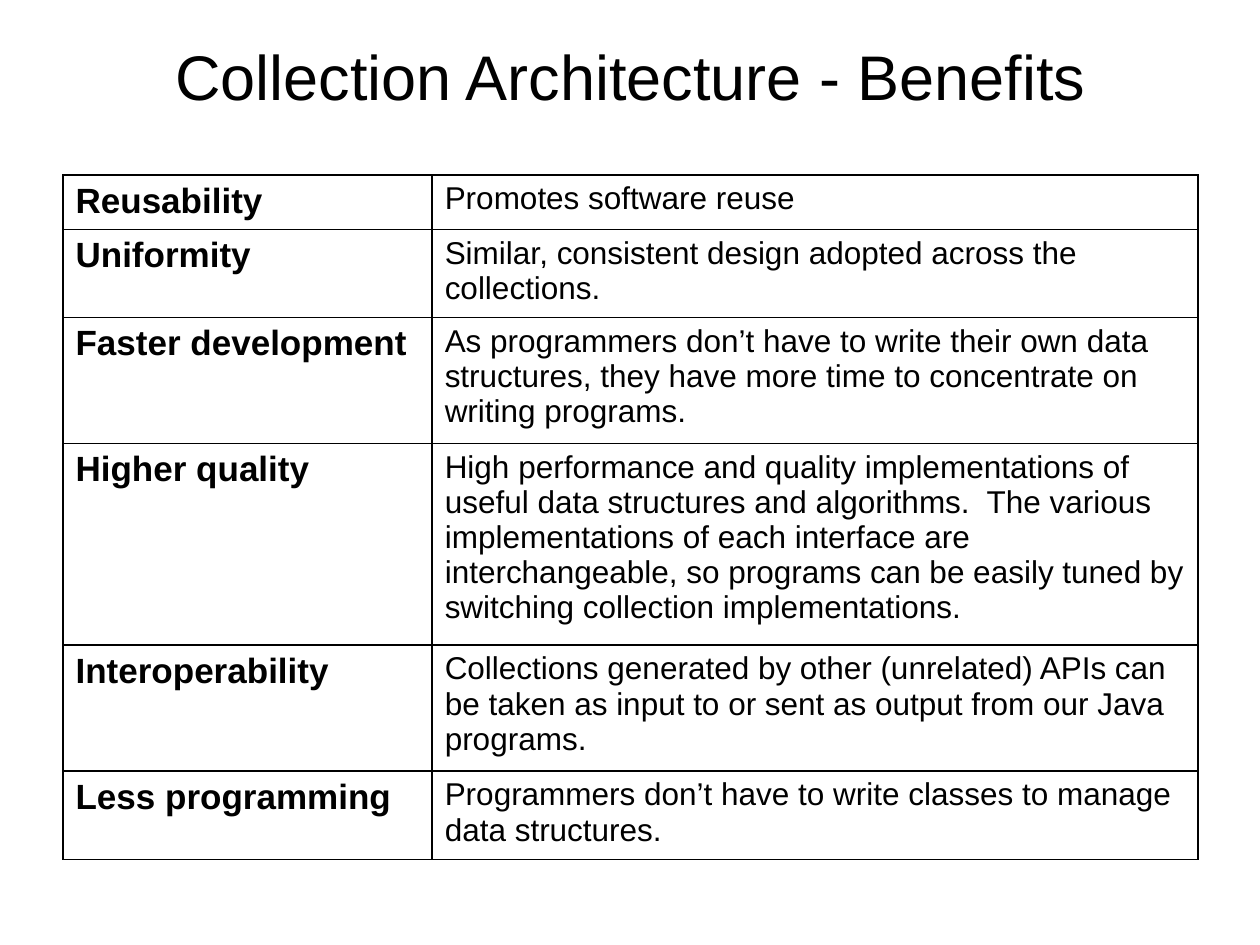
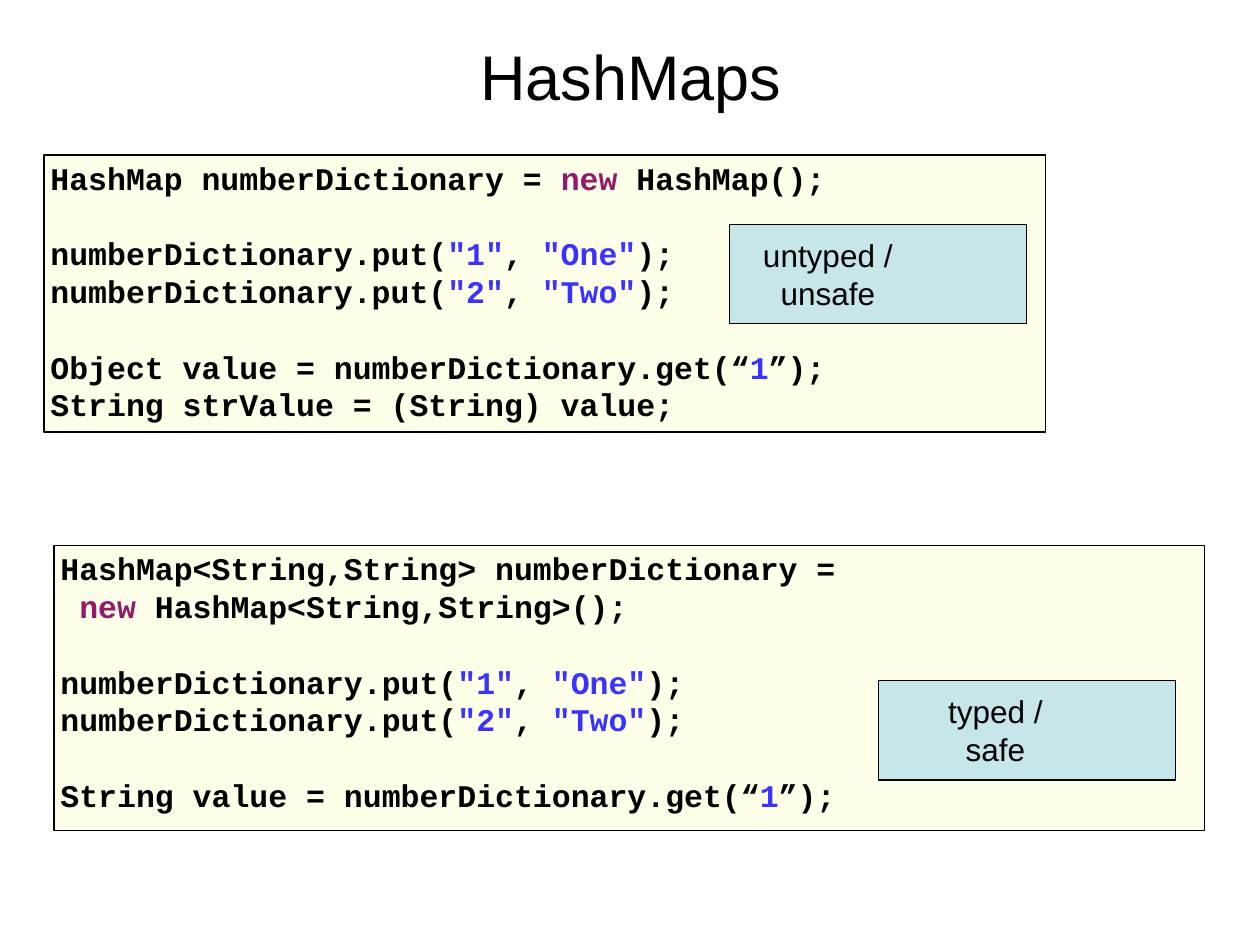
from dataclasses import dataclass

import pptx
import pptx.dml.color
import pptx.enum.shapes
import pptx.enum.text
import pptx.oxml
import pptx.oxml.ns
import pptx.util
from pptx.util import Inches, Pt

COLORS = {
    "text": "000000",
    "line": "000000",
    "keyword": "931A68",
    "literal": "3933FF",
    "code_fill": "FFFED5",
    "callout_fill": "C6E6E9",
}
TEXT_FONT = "Arial"
CODE_FONT = "Courier New"
LINE_PITCH = Pt(21.6)
CELL_PITCH = Pt(20.1)
TITLE_ONLY = 5


@dataclass(frozen=True)
class Span:
    text: str
    color: str = "text"


@dataclass(frozen=True)
class CodeLine:
    spans: tuple[Span, ...]
    starts_block: bool = False


@dataclass(frozen=True)
class CodePanel:
    left: float
    top: float
    width: float
    height: float
    lines: tuple[CodeLine, ...]


@dataclass(frozen=True)
class Callout:
    text: str
    left: float
    top: float
    left_inset: float


@dataclass(frozen=True)
class Benefit:
    name: str
    description: str
    height: float


BENEFITS = (
    Benefit("Reusability", "Promotes software reuse", 0.43),
    Benefit("Uniformity", "Similar, consistent design adopted across the collections.", 0.7),
    Benefit(
        "Faster development",
        "As programmers don’t have to write their own data structures, "
        "they have more time to concentrate on writing programs.",
        1.0,
    ),
    Benefit(
        "Higher quality",
        "High performance and quality implementations of useful data structures and "
        "algorithms.  The various implementations of each interface are interchangeable, "
        "so programs can be easily tuned by switching collection implementations.",
        1.6,
    ),
    Benefit(
        "Interoperability",
        "Collections generated by other (unrelated) APIs can be taken as input to "
        "or sent as output from our Java programs.",
        1.0,
    ),
    Benefit(
        "Less programming",
        "Programmers don’t have to write classes to manage data structures.",
        0.7,
    ),
)


def put_line(key: str, value: str, starts_block: bool = False) -> CodeLine:
    spans = (
        Span("numberDictionary.put("),
        Span(f'"{key}"', "literal"),
        Span(", "),
        Span(f'"{value}"', "literal"),
        Span(");"),
    )
    return CodeLine(spans, starts_block)


def get_line(declaration: str) -> CodeLine:
    spans = (
        Span(f"{declaration} = numberDictionary.get(“"),
        Span("1", "literal"),
        Span("”);"),
    )
    return CodeLine(spans, starts_block=True)


PUT_LINES = (put_line("1", "One", starts_block=True), put_line("2", "Two"))

CODE_PANELS = (
    CodePanel(0.35, 1.23, 7.95, 2.2, (
        CodeLine((
            Span("HashMap numberDictionary = "),
            Span("new", "keyword"),
            Span(" HashMap();"),
        )),
        *PUT_LINES,
        get_line("Object value"),
        CodeLine((Span("String strValue = (String) value;"),)),
    )),
    CodePanel(0.43, 4.33, 9.13, 2.26, (
        CodeLine((Span("HashMap<String,String> numberDictionary ="),)),
        CodeLine((
            Span(" "),
            Span("new", "keyword"),
            Span(" HashMap<String,String>();"),
        )),
        *PUT_LINES,
        get_line("String value"),
    )),
)

CALLOUTS = (
    Callout("untyped / unsafe", 5.79, 1.78, 0.2),
    Callout("typed / safe", 6.97, 5.4, 0.5),
)


def rgb(name: str) -> pptx.dml.color.RGBColor:
    return pptx.dml.color.RGBColor.from_string(COLORS[name])


def add_span(para, span: Span, size: float, font: str = TEXT_FONT, bold: bool = False) -> None:
    run = para.add_run()
    run.text = span.text
    run.font.name = font
    run.font.size = Pt(size)
    run.font.bold = bold
    run.font.color.rgb = rgb(span.color)


def set_insets(frame, left: float, top: float, right: float, bottom: float) -> None:
    frame.margin_left, frame.margin_top = Inches(left), Inches(top)
    frame.margin_right, frame.margin_bottom = Inches(right), Inches(bottom)


def add_titled_page(deck, title: str):
    page = deck.slides.add_slide(deck.slide_layouts[TITLE_ONLY])
    box = page.shapes.title
    box.left, box.top = Inches(0.5), Inches(0.24)
    box.width, box.height = Inches(9.01), Inches(0.72)
    frame = box.text_frame
    frame.auto_size = pptx.enum.text.MSO_AUTO_SIZE.NONE
    frame.vertical_anchor = pptx.enum.text.MSO_ANCHOR.MIDDLE
    set_insets(frame, 0.06, 0.06, 0.06, 0.06)
    para = frame.paragraphs[0]
    para.alignment = pptx.enum.text.PP_ALIGN.CENTER
    add_span(para, Span(title), 36)
    return page


def add_panel(page, left: float, top: float, width: float, height: float, fill: str):
    box = page.shapes.add_shape(
        pptx.enum.shapes.MSO_SHAPE.RECTANGLE,
        Inches(left), Inches(top), Inches(width), Inches(height),
    )
    box.shadow.inherit = False
    box.fill.solid()
    box.fill.fore_color.rgb = rgb(fill)
    box.line.color.rgb = rgb("line")
    box.line.width = Pt(0.75)
    box.text_frame.word_wrap = True
    return box


def make_half_transparent(box) -> None:
    color = box.fill._xPr.find(".//" + pptx.oxml.ns.qn("a:srgbClr"))
    alpha = pptx.oxml.parse_xml(f'<a:alpha {pptx.oxml.ns.nsdecls("a")} val="50000"/>')
    color.append(alpha)


def add_code_panel(page, panel: CodePanel) -> None:
    box = add_panel(page, panel.left, panel.top, panel.width, panel.height, "code_fill")
    make_half_transparent(box)
    frame = box.text_frame
    frame.vertical_anchor = pptx.enum.text.MSO_ANCHOR.TOP
    set_insets(frame, 0, 0.03, 0, 0)
    for index, line in enumerate(panel.lines):
        para = frame.add_paragraph() if index else frame.paragraphs[0]
        properties = para._p.get_or_add_pPr()
        properties.set("marL", str(Inches(0.42)))
        properties.set("indent", str(-Inches(0.37)))
        para.alignment = pptx.enum.text.PP_ALIGN.LEFT
        para.line_spacing = LINE_PITCH
        if line.starts_block:
            para.space_before = LINE_PITCH
        for span in line.spans:
            add_span(para, span, 18, CODE_FONT, bold=True)


def add_callout(page, callout: Callout) -> None:
    box = add_panel(page, callout.left, callout.top, 2.36, 0.79, "callout_fill")
    frame = box.text_frame
    frame.vertical_anchor = pptx.enum.text.MSO_ANCHOR.MIDDLE
    set_insets(frame, callout.left_inset, 0.06, 1.0, 0.06)
    para = frame.paragraphs[0]
    para.alignment = pptx.enum.text.PP_ALIGN.CENTER
    para.line_spacing = LINE_PITCH
    add_span(para, Span(callout.text), 18)


def outline_cell(cell) -> None:
    properties = cell._tc.get_or_add_tcPr()
    for side in ("lnL", "lnR", "lnT", "lnB"):
        properties.append(pptx.oxml.parse_xml(
            f'<a:{side} {pptx.oxml.ns.nsdecls("a")} w="{Pt(1)}"><a:solidFill>'
            f'<a:srgbClr val="{COLORS["line"]}"/></a:solidFill></a:{side}>'
        ))
    cell.fill.background()


def add_benefits_table(page) -> None:
    widths = (2.93, 6.08)
    height = sum(benefit.height for benefit in BENEFITS)
    table = page.shapes.add_table(
        len(BENEFITS), len(widths),
        Inches(0.5), Inches(1.39), Inches(sum(widths)), Inches(height),
    ).table
    table.first_row = False
    table.horz_banding = False
    for column, width in zip(table.columns, widths):
        column.width = Inches(width)
    for row, benefit in zip(table.rows, BENEFITS):
        row.height = Inches(benefit.height)
        name_cell, description_cell = row.cells
        outline_cell(name_cell)
        add_span(name_cell.text_frame.paragraphs[0], Span(benefit.name), 20, bold=True)
        outline_cell(description_cell)
        para = description_cell.text_frame.paragraphs[0]
        para.line_spacing = CELL_PITCH
        add_span(para, Span(benefit.description), 18)


def main() -> None:
    deck = pptx.Presentation()
    deck.slide_width, deck.slide_height = Inches(10), Inches(7.5)

    add_benefits_table(add_titled_page(deck, "Collection Architecture - Benefits"))

    hashmaps_page = add_titled_page(deck, "HashMaps")
    for panel in CODE_PANELS:
        add_code_panel(hashmaps_page, panel)
    for callout in CALLOUTS:
        add_callout(hashmaps_page, callout)

    deck.save("out.pptx")


if __name__ == "__main__":
    main()
